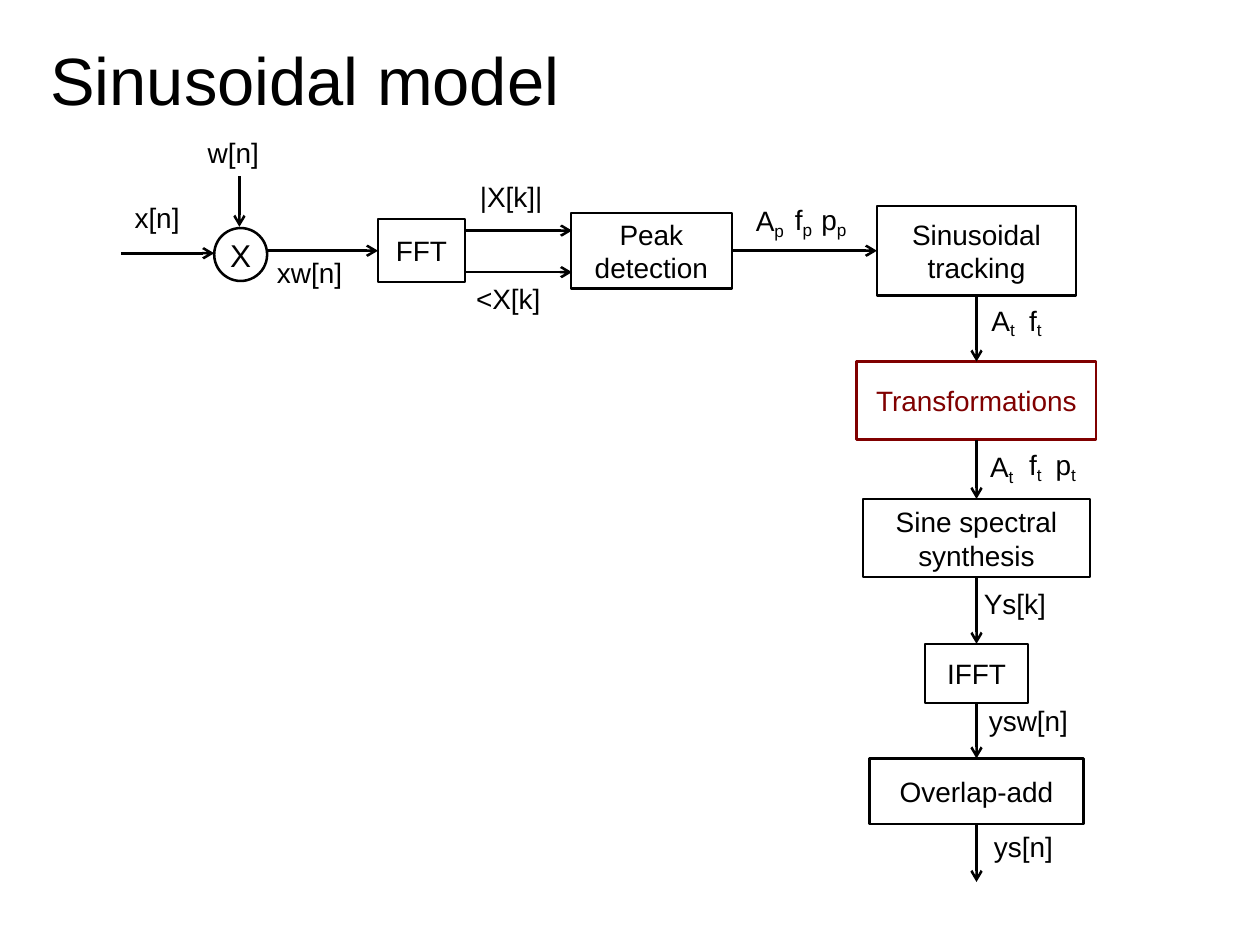
from lxml.etree import SubElement
from pptx import Presentation
from pptx.dml.color import RGBColor
from pptx.enum.shapes import MSO_CONNECTOR, MSO_SHAPE
from pptx.enum.text import MSO_ANCHOR, MSO_AUTO_SIZE, PP_ALIGN
from pptx.oxml.ns import qn
from pptx.util import Inches, Pt

BLACK = RGBColor(0x00, 0x00, 0x00)
MAROON = RGBColor(0x80, 0x00, 0x00)
FONT = "Arial"
STROKE = Pt(1.45)
TOP, LEFT, BOTTOM, RIGHT = range(4)
MIDDLE_X, MIDDLE_Y = 7.75, 1.99


def style(run, size=16, color=BLACK):
    """Set the font, size and colour of a run."""
    run.font.name = FONT
    run.font.size = Pt(size)
    run.font.color.rgb = color


def node(slide, kind, text, left, top, width, height, size=16, color=BLACK):
    """Add an outlined shape with centred text."""
    shape = slide.shapes.add_shape(
        kind, Inches(left), Inches(top), Inches(width), Inches(height))
    shape.shadow.inherit = False
    shape.fill.background()
    shape.line.color.rgb = color
    shape.line.width = STROKE
    frame = shape.text_frame
    frame.text = text
    frame.vertical_anchor = MSO_ANCHOR.MIDDLE
    for paragraph in frame.paragraphs:
        paragraph.alignment = PP_ALIGN.CENTER
        style(paragraph.runs[0], size, color)
    return shape


def row_box(slide, text, left, width, height):
    """Add a box centred on the analysis row."""
    return node(slide, MSO_SHAPE.RECTANGLE, text, left, MIDDLE_Y - height / 2,
                width, height)


def column_box(slide, text, top, width, height, color=BLACK):
    """Add a box centred on the synthesis column."""
    return node(slide, MSO_SHAPE.RECTANGLE, text, MIDDLE_X - width / 2, top,
                width, height, color=color)


def multiplier(slide):
    """Add the circle that multiplies the signal by the window."""
    frame = node(slide, MSO_SHAPE.OVAL, "X", 1.7, 1.81, 0.42, 0.42, 18).text_frame
    frame.margin_left = frame.margin_right = 0
    frame.margin_top = frame.margin_bottom = 0
    frame.word_wrap = False


def arrow(slide, start=(0, 0), end=(0, 0), source=None, target=None):
    """Add an arrow between points or joined (box, side) pairs."""
    line = slide.shapes.add_connector(
        MSO_CONNECTOR.STRAIGHT, *(Inches(value) for value in (*start, *end)))
    if source:
        line.begin_connect(*source)
    if target:
        line.end_connect(*target)
    line.line.color.rgb = BLACK
    line.line.width = STROKE
    SubElement(line.line._get_or_add_ln(), qn("a:tailEnd"), type="arrow")
    SubElement(line._element.spPr, qn("a:effectLst"))


def label(slide, text, left, top, width, sub=""):
    """Add a signal name with an optional subscript."""
    height = 0.43 if sub else 0.4
    box = slide.shapes.add_textbox(
        Inches(left), Inches(top), Inches(width), Inches(height))
    frame = box.text_frame
    frame.word_wrap = False
    frame.auto_size = MSO_AUTO_SIZE.SHAPE_TO_FIT_TEXT
    paragraph = frame.paragraphs[0]
    paragraph.text = text
    paragraph.line_spacing = 0.93
    style(paragraph.runs[0])
    if sub:
        run = paragraph.add_run()
        run.text = sub
        style(run, 16.8)
        run.font._element.set("baseline", "-20000")


def title(slide, text):
    """Add the slide title."""
    box = slide.shapes.add_textbox(Inches(0.4), 0, Inches(9), Inches(1.25))
    frame = box.text_frame
    frame.text = text
    frame.word_wrap = True
    frame.vertical_anchor = MSO_ANCHOR.MIDDLE
    frame.margin_left = frame.margin_right = 0
    frame.margin_top = frame.margin_bottom = 0
    style(frame.paragraphs[0].runs[0], 38.2)


def analysis(slide):
    """Draw the row from input to tracking and return the last box."""
    multiplier(slide)
    fft = row_box(slide, "FFT", 3, 0.69, 0.5)
    peak = row_box(slide, "Peak detection", 4.53, 1.28, 0.6)
    peak.text_frame.word_wrap = True
    track = row_box(slide, "Sinusoidal\ntracking", 6.96, 1.58, 0.71)
    arrow(slide, (0.96, 2.01), (1.7, 2.01))
    arrow(slide, (1.9, 1.4), (1.9, 1.8))
    arrow(slide, (2.12, MIDDLE_Y), target=(fft, LEFT))
    for y in (1.83, 2.16):
        arrow(slide, (3.7, y), (4.54, y))
    arrow(slide, source=(peak, RIGHT), target=(track, LEFT))
    return track


def synthesis(slide, track):
    """Draw the column from tracking to output."""
    boxes = [
        track,
        column_box(slide, "Transformations", 2.87, 1.9, 0.62, MAROON),
        column_box(slide, "Sine spectral\nsynthesis", 3.96, 1.8, 0.62),
        column_box(slide, "IFFT", 5.11, 0.82, 0.47),
        column_box(slide, "Overlap-add", 6.02, 1.7, 0.52),
    ]
    for upper, lower in zip(boxes, boxes[1:]):
        arrow(slide, source=(upper, BOTTOM), target=(lower, TOP))
    arrow(slide, end=(MIDDLE_X, 7), source=(boxes[-1], BOTTOM))


def main():
    """Build the sinusoidal model slide."""
    deck = Presentation()
    deck.slide_width, deck.slide_height = Inches(10), Inches(7.5)
    slide = deck.slides.add_slide(deck.slide_layouts[6])
    title(slide, "Sinusoidal model")
    synthesis(slide, analysis(slide))
    for signal in (
        ("x[n]", 0.97, 1.57, 0.64),
        ("w[n]", 1.55, 1.05, 0.69),
        ("xw[n]", 2.1, 2, 0.83),
        ("|X[k]|", 3.71, 1.4, 0.8),
        ("<X[k]", 3.68, 2.21, 0.82),
        ("A", 5.9, 1.56, 0.47, "p"),
        ("f", 6.21, 1.55, 0.37, "p"),
        ("p", 6.42, 1.55, 0.44, "p"),
        ("A", 7.77, 2.35, 0.43, "t"),
        ("f", 8.07, 2.35, 0.33, "t"),
        ("A", 7.76, 3.51, 0.43, "t"),
        ("f", 8.07, 3.5, 0.33, "t"),
        ("p", 8.28, 3.5, 0.4, "t"),
        ("Ys[k]", 7.71, 4.63, 0.8),
        ("ysw[n]", 7.75, 5.56, 0.96),
        ("ys[n]", 7.79, 6.56, 0.77),
    ):
        label(slide, *signal)
    deck.save("out.pptx")


if __name__ == "__main__":
    main()
